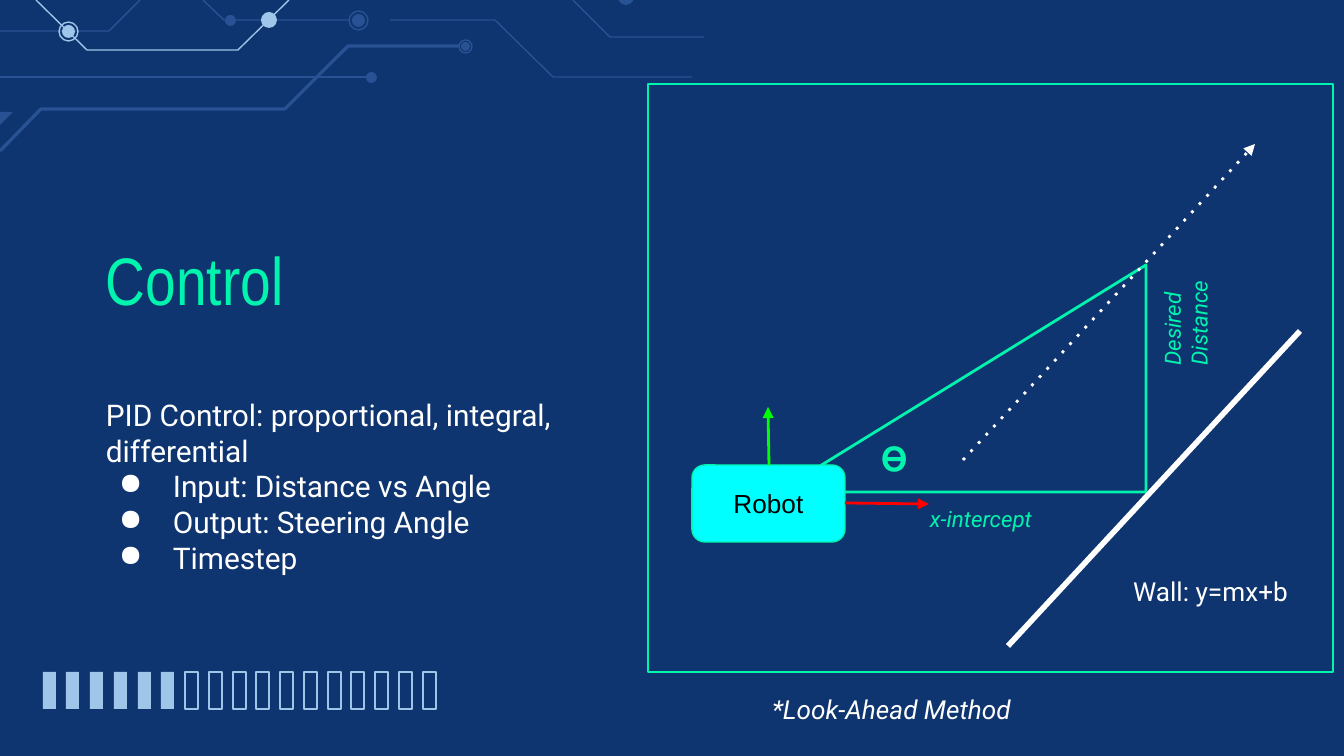
from dataclasses import dataclass
from typing import Optional

from lxml.etree import SubElement
from pptx import Presentation
from pptx.dml.color import RGBColor
from pptx.enum.shapes import MSO_CONNECTOR as Connector, MSO_SHAPE as Preset
from pptx.enum.text import MSO_ANCHOR as Anchor, MSO_AUTO_SIZE as AutoSize, PP_ALIGN as Align
from pptx.oxml.ns import qn
from pptx.util import Pt

SCALE = 914400 / 134.4
COLORS = {
    "navy": "0F3570", "steel": "285293", "sky": "9FC5E8", "mint": "00F4AD",
    "white": "FFFFFF", "black": "000000", "cyan": "00FFFF", "red": "FF0000", "green": "00FF00",
}


@dataclass
class Trace:
    points: list[tuple[int, int]]
    color: str = "steel"
    weight: float = 0.75


@dataclass
class Node:
    x: int
    y: int
    size: int
    color: str = "steel"
    ring: int = 0


@dataclass
class Label:
    text: str
    left: int
    top: int
    width: int
    height: int
    size: int
    color: str = "white"
    font: str = "Roboto"
    italic: bool = False
    rotation: int = 0
    margin: int = 13


@dataclass
class Line:
    start: tuple[int, int]
    end: tuple[int, int]
    color: str
    weight: float = 1.5
    arrow: bool = True
    dotted: bool = False


TRACES = [
    Trace([(203, 0), (224, 20), (349, 20)]),
    Trace([(0, 31), (109, 31), (140, 0)]),
    Trace([(36, 0), (87, 50), (238, 50), (289, 0)], "sky"),
    Trace([(0, 151), (41, 109), (285, 109), (348, 46), (459, 46)], weight=1.75),
    Trace([(390, 20), (495, 20), (553, 77), (692, 77)]),
    Trace([(573, 0), (610, 37), (704, 37)]),
    Trace([(0, 77), (367, 77)]),
]
NODES = [
    Node(68, 31, 13, "sky", 19), Node(358, 20, 13, ring=19), Node(465, 46, 9, ring=13),
    Node(269, 20, 16, "sky"), Node(626, -3, 16), Node(230, 20, 11), Node(371, 77, 11),
]
TITLE = Label("Control", 106, 232, 516, 93, 36, "mint", "Arial Narrow", margin=0)
SUMMARY = Label(
    "PID Control: proportional, integral, differential\n"
    "Input: Distance vs Angle\nOutput: Steering Angle\nTimestep",
    106, 384, 516, 204, 16, margin=0)
LABELS = [
    Label("Wall: y=mx+b", 1120, 562, 195, 59, 14),
    Label("x-intercept", 917, 492, 153, 54, 12, "mint", italic=True),
    Label("Desired Distance", 1110, 261, 153, 82, 12, "mint", italic=True, rotation=270),
    Label("*Look-Ahead Method", 759, 680, 439, 59, 14, italic=True),
    Label("𝚹", 868, 425, 103, 67, 18, "mint"),
]
WALL = Line((1008, 646), (1300, 331), "white", 3, arrow=False)
ARROWS = [
    Line((845, 503), (929, 504), "red"),
    Line((769, 465), (768, 407), "green"),
    Line((963, 460), (1255, 144), "white", dotted=True),
]
BAR_COUNT, FILLED_BARS = 17, 6


def px(length: int) -> int:
    return round(length * SCALE)


def rgb(name: str) -> RGBColor:
    return RGBColor.from_string(COLORS[name])


def paint(shape, fill: Optional[str] = None, line: Optional[str] = None, weight: float = 0.75) -> None:
    shape.shadow.inherit = False
    if fill:
        shape.fill.solid()
        shape.fill.fore_color.rgb = rgb(fill)
    else:
        shape.fill.background()
    if line:
        shape.line.color.rgb = rgb(line)
        shape.line.width = Pt(weight)
    else:
        shape.line.fill.background()


def add_preset(page, kind, left: int, top: int, width: int, height: int, **style):
    shape = page.shapes.add_shape(kind, px(left), px(top), px(width), px(height))
    paint(shape, **style)
    return shape


def add_outline(page, points: list[tuple[int, int]], close: bool = False, **style) -> None:
    builder = page.shapes.build_freeform(*points[0], scale=SCALE)
    builder.add_line_segments(points[1:], close=close)
    paint(builder.convert_to_shape(), **style)


def add_node(page, node: Node) -> None:
    def circle(size: int, **style) -> None:
        add_preset(page, Preset.OVAL, node.x - size // 2, node.y - size // 2, size, size, **style)

    if node.ring:
        circle(node.ring, line=node.color)
    circle(node.size, fill=node.color)


def fill_text(shape, label: Label) -> None:
    frame = shape.text_frame
    frame.word_wrap = True
    frame.margin_left = frame.margin_right = px(label.margin)
    frame.margin_top = frame.margin_bottom = px(label.margin)
    frame.text = label.text
    for para in frame.paragraphs:
        for span in para.runs:
            span.font.size = Pt(label.size)
            span.font.name = label.font
            span.font.italic = label.italic
            span.font.color.rgb = rgb(label.color)


def add_label(page, label: Label):
    box = page.shapes.add_textbox(px(label.left), px(label.top), px(label.width), px(label.height))
    box.rotation = label.rotation
    fill_text(box, label)
    frame = box.text_frame
    frame.vertical_anchor = Anchor.TOP if label.margin else Anchor.MIDDLE
    frame.auto_size = AutoSize.SHAPE_TO_FIT_TEXT if label.margin else AutoSize.NONE
    return box


def add_bullet(para) -> None:
    props = para._p.get_or_add_pPr()
    props.set("marL", str(px(67)))
    props.set("indent", str(-px(54)))
    color = SubElement(props, qn("a:buClr"))
    SubElement(color, qn("a:srgbClr"), val=COLORS["white"])
    SubElement(props, qn("a:buChar"), char="●")


def add_line(page, line: Line) -> None:
    ends = [px(value) for value in line.start + line.end]
    connector = page.shapes.add_connector(Connector.STRAIGHT, *ends)
    connector.line.color.rgb = rgb(line.color)
    connector.line.width = Pt(line.weight)
    stroke = connector.line._get_or_add_ln()
    if line.dotted:
        SubElement(stroke, qn("a:prstDash"), val="dot")
    if line.arrow:
        SubElement(stroke, qn("a:tailEnd"), type="triangle")
    SubElement(connector._element.spPr, qn("a:effectLst"))


def add_decoration(page) -> None:
    for trace in TRACES:
        add_outline(page, trace.points, line=trace.color, weight=trace.weight)
    for node in NODES:
        add_node(page, node)
    add_outline(page, [(0, 112), (13, 112), (0, 125)], close=True, fill="steel")
    for index in range(BAR_COUNT):
        style = {"fill": "sky"} if index < FILLED_BARS else {"line": "sky"}
        left = 43 + 380 * index // (BAR_COUNT - 1)
        add_preset(page, Preset.RECTANGLE, left, 672, 13, 37, **style)


def add_diagram(page) -> None:
    triangle = add_preset(page, Preset.RIGHT_TRIANGLE, 778, 265, 368, 227,
                          fill="navy", line="mint", weight=1.5)
    triangle._element.spPr.xfrm.set("flipH", "1")
    add_line(page, WALL)
    robot = add_preset(page, Preset.ROUNDED_RECTANGLE, 692, 465, 153, 77, fill="cyan", line="mint")
    fill_text(robot, Label("Robot", 692, 465, 153, 77, 14, "black", "Arial"))
    robot.text_frame.vertical_anchor = Anchor.MIDDLE
    robot.text_frame.paragraphs[0].alignment = Align.CENTER
    for arrow in ARROWS:
        add_line(page, arrow)
    for label in LABELS:
        add_label(page, label)


def main() -> None:
    deck = Presentation()
    deck.slide_width, deck.slide_height = px(1344), px(756)
    page = deck.slides.add_slide(deck.slide_layouts[6])
    page.background.fill.solid()
    page.background.fill.fore_color.rgb = rgb("navy")
    add_decoration(page)
    add_preset(page, Preset.RECTANGLE, 648, 84, 685, 588, line="mint")
    add_label(page, TITLE)
    summary = add_label(page, SUMMARY)
    for para in summary.text_frame.paragraphs[1:]:
        add_bullet(para)
    add_diagram(page)
    deck.save("out.pptx")


if __name__ == "__main__":
    main()
